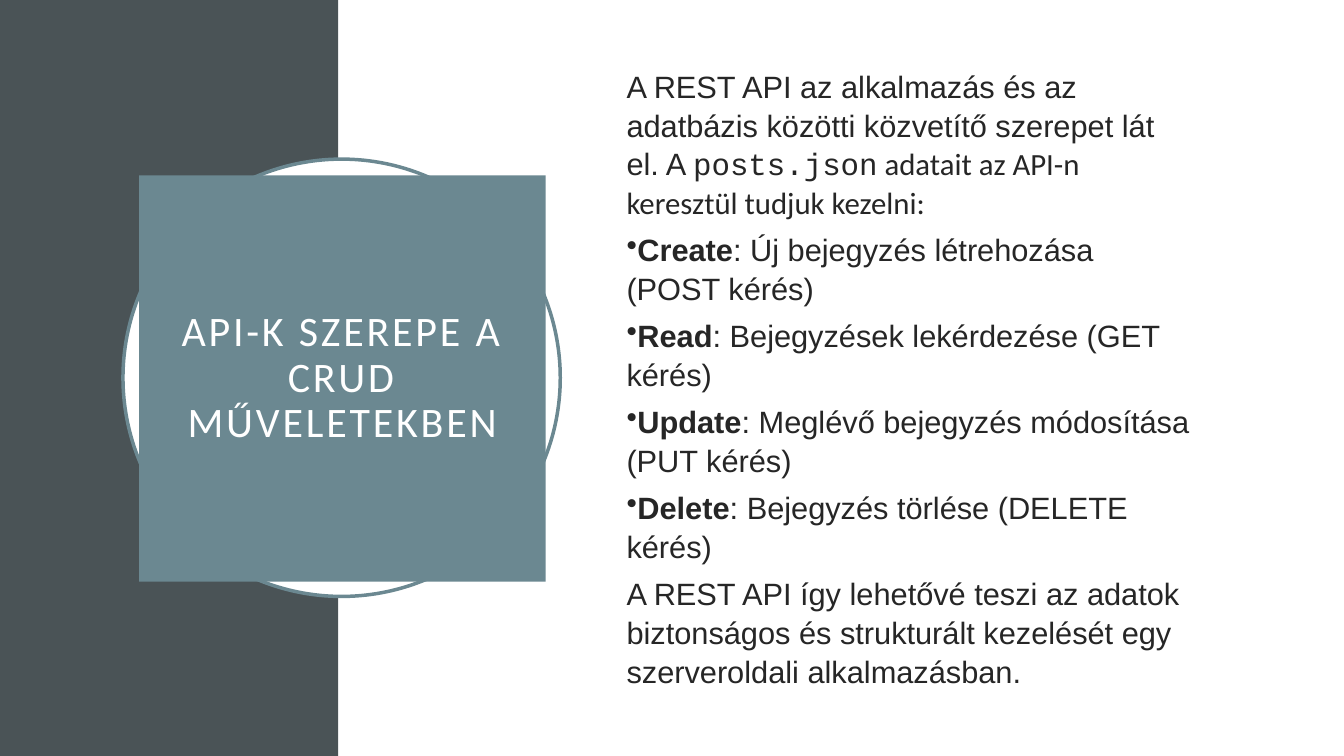
from pptx import Presentation
from pptx.dml.color import RGBColor
from pptx.enum.shapes import MSO_SHAPE
from pptx.enum.text import MSO_ANCHOR, PP_ALIGN
from pptx.oxml.ns import qn
from pptx.util import Cm, Pt

RECT = MSO_SHAPE.RECTANGLE
OVAL = MSO_SHAPE.OVAL
MIDDLE = MSO_ANCHOR.MIDDLE
CENTER = PP_ALIGN.CENTER
LEFT = PP_ALIGN.LEFT

WHITE = RGBColor(0xFF, 0xFF, 0xFF)
SLATE = RGBColor(0x4A, 0x53, 0x56)
TEAL = RGBColor(0x6B, 0x88, 0x91)
INK = RGBColor(0x26, 0x26, 0x26)

WIDTH, HEIGHT = 33.87, 19.05
BAND = 8.53

INTRO = [
    ("A REST API az alkalmazás és az adatbázis közötti közvetítő szerepet lát el. A ", "Arial"),
    ("posts.json", "Courier New"),
    (" adatait az API-n keresztül tudjuk kezelni:", "Calibri"),
]
ACTIONS = [
    ("Create", "Új bejegyzés létrehozása (POST kérés)"),
    ("Read", "Bejegyzések lekérdezése (GET kérés)"),
    ("Update", "Meglévő bejegyzés módosítása (PUT kérés)"),
    ("Delete", "Bejegyzés törlése (DELETE kérés)"),
]
CLOSING = ("A REST API így lehetővé teszi az adatok biztonságos és strukturált "
           "kezelését egy szerveroldali alkalmazásban.")


def add_panel(slide, kind, box, fill, line=None):
    panel = slide.shapes.add_shape(kind, *map(Cm, box))
    panel.shadow.inherit = False
    panel.fill.solid()
    panel.fill.fore_color.rgb = fill
    if line is None:
        panel.line.fill.background()
    else:
        panel.line.color.rgb = line
        panel.line.width = Pt(2.5)
    return panel


def add_run(para, text, size, color, font="Arial", bold=False):
    run = para.add_run()
    run.text = text
    run.font.size = Pt(size)
    run.font.name = font
    run.font.bold = bold
    run.font.color.rgb = color
    return run


def add_title(slide, text, box):
    frame = add_panel(slide, RECT, box, TEAL).text_frame
    frame.word_wrap = True
    frame.vertical_anchor = MIDDLE
    frame.margin_left = frame.margin_right = Cm(0.51)
    frame.margin_top = frame.margin_bottom = Cm(0.51)
    para = frame.paragraphs[0]
    para.alignment = CENTER
    para.line_spacing = 0.9
    run = add_run(para, text, 30, WHITE, "Calibri")
    run.font._element.set("spc", "200")


def add_bullet(para):
    """Put a bullet directly before the text, with no hanging indent."""
    props = para._p.get_or_add_pPr()
    props.set("marL", "0")
    props.set("indent", "0")
    mark = props.makeelement(qn("a:buChar"), {"char": "•"})
    props.append(mark)


def add_body(slide, box):
    frame = slide.shapes.add_textbox(*map(Cm, box)).text_frame
    frame.word_wrap = True
    frame.vertical_anchor = MIDDLE
    items = [[(text, font, False) for text, font in INTRO]]
    items += [[(name, "Arial", True), (f": {task}", "Arial", False)]
              for name, task in ACTIONS]
    items.append([(CLOSING, "Arial", False)])
    for index, runs in enumerate(items):
        para = frame.add_paragraph() if index else frame.paragraphs[0]
        para.alignment = LEFT
        para.line_spacing = 1.05
        para.space_after = Pt(6)
        if 0 < index <= len(ACTIONS):
            add_bullet(para)
        for text, font, bold in runs:
            add_run(para, text, 22, INK, font, bold)


def main():
    deck = Presentation()
    deck.slide_width, deck.slide_height = Cm(WIDTH), Cm(HEIGHT)
    slide = deck.slides.add_slide(deck.slide_layouts[6])
    add_panel(slide, RECT, (0, 0, BAND, HEIGHT), SLATE)
    add_panel(slide, RECT, (BAND, 0, WIDTH - BAND, HEIGHT), WHITE)
    add_panel(slide, OVAL, (3.1, 4.01, 11.02, 11.02), WHITE, TEAL)
    add_title(slide, "API-K SZEREPE A CRUD MŰVELETEKBEN", (3.51, 4.42, 10.24, 10.24))
    add_body(slide, (15.54, 3.89, 14.78, 11.25))
    deck.save("out.pptx")


if __name__ == "__main__":
    main()
